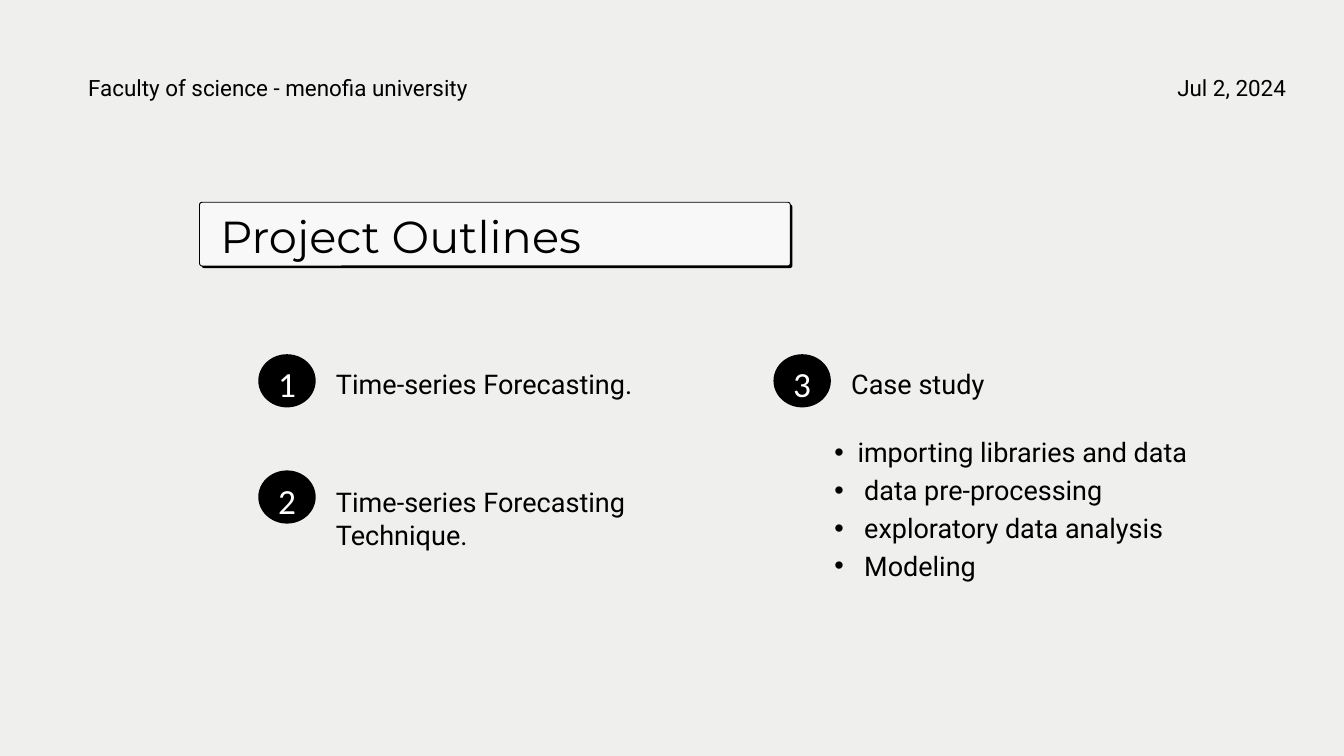
from dataclasses import dataclass

from lxml.etree import SubElement
from pptx import Presentation
from pptx.dml.color import RGBColor as RGB
from pptx.enum.shapes import MSO_SHAPE as Shape
from pptx.enum.text import PP_ALIGN as Align
from pptx.oxml.ns import qn
from pptx.slide import Slide
from pptx.util import Pt

PX = 9525


@dataclass(frozen=True)
class Style:
    font: str
    size: float
    leading: float
    color: str = "000000"
    align: Align = Align.LEFT


@dataclass(frozen=True)
class Theme:
    background: str = "EFEFEE"
    panel: str = "F8F8F8"
    ink: str = "000000"
    title: Style = Style("Montserrat", 48, 56.6)
    number: Style = Style("Calibri", 37.8, 52.9, "FFFFFF", Align.CENTER)
    label: Style = Style("Roboto", 29, 34.8)
    bullet: Style = Style("Roboto", 28.9, 40.5)
    header: Style = Style("Roboto", 24, 33.6)
    date: Style = Style("Roboto", 24, 33.6, align=Align.RIGHT)


@dataclass(frozen=True)
class Box:
    x: int
    y: int
    w: int
    h: int

    def emu(self) -> list[int]:
        return [v * PX for v in (self.x, self.y, self.w, self.h)]


@dataclass(frozen=True)
class Topic:
    number: str
    label: str
    x: int
    y: int
    label_dy: int
    label_h: int


THEME = Theme()
LEFT_COL, RIGHT_COL = 369, 1105
ROW_1, ROW_2 = 506, 672
TOPICS = [
    Topic("1", "Time-series Forecasting.", LEFT_COL, ROW_1, 19, 156),
    Topic("2", "Time-series Forecasting Technique.", LEFT_COL, ROW_2, 22, 140),
    Topic("3", "Case study", RIGHT_COL, ROW_1, 19, 94),
]
CASE_STEPS = [
    "importing libraries and data",
    " data pre-processing",
    " exploratory data analysis",
    " Modeling",
]


def add_text(s: Slide, box: Box, lines: list[str], style: Style, bullets: bool = False) -> None:
    tf = s.shapes.add_textbox(*box.emu()).text_frame
    frame = {"word_wrap": True, "margin_left": 0, "margin_top": 0, "margin_right": 0, "margin_bottom": 0}
    for name, value in frame.items():
        setattr(tf, name, value)
    for i, line in enumerate(lines):
        p = tf.add_paragraph() if i else tf.paragraphs[0]
        for name, value in {"alignment": style.align, "line_spacing": Pt(style.leading)}.items():
            setattr(p, name, value)
        r = p.add_run()
        r.text = line
        for name, value in {"name": style.font, "size": Pt(style.size)}.items():
            setattr(r.font, name, value)
        r.font.color.rgb = RGB.from_string(style.color)
        if bullets:
            p.level = 1
            ppr = p._p.get_or_add_pPr()
            ppr.set("marL", str(65 * PX))
            ppr.set("indent", str(-33 * PX))
            SubElement(ppr, qn("a:buFont"), typeface="Arial")
            SubElement(ppr, qn("a:buChar"), char="•")


def add_block(s: Slide, kind: Shape, box: Box, fill: str, outlined: bool = False) -> None:
    sp = s.shapes.add_shape(kind, *box.emu())
    sp.shadow.inherit = False
    sp.fill.solid()
    sp.fill.fore_color.rgb = RGB.from_string(fill)
    if kind == Shape.ROUNDED_RECTANGLE:
        sp.adjustments[0] = 0.04
    if outlined:
        sp.line.color.rgb = RGB.from_string(THEME.ink)
        sp.line.width = Pt(1)
    else:
        sp.line.fill.background()


def add_topic(s: Slide, topic: Topic) -> None:
    add_block(s, Shape.OVAL, Box(topic.x, topic.y, 82, 76), THEME.ink)
    add_text(s, Box(topic.x + 15, topic.y + 2, 52, 66), [topic.number], THEME.number)
    add_text(s, Box(topic.x + 111, topic.y + topic.label_dy, 479, topic.label_h), [topic.label], THEME.label)


def main() -> None:
    prs = Presentation()
    for name, value in {"slide_width": 1920 * PX, "slide_height": 1080 * PX}.items():
        setattr(prs, name, value)
    s = prs.slides.add_slide(prs.slide_layouts[6])
    s.background.fill.solid()
    s.background.fill.fore_color.rgb = RGB.from_string(THEME.background)

    add_block(s, Shape.ROUNDED_RECTANGLE, Box(288, 292, 844, 91), THEME.ink)
    add_block(s, Shape.ROUNDED_RECTANGLE, Box(285, 289, 844, 91), THEME.panel, outlined=True)
    add_text(s, Box(315, 300, 725, 74), ["Project Outlines"], THEME.title)

    for topic in TOPICS:
        add_topic(s, topic)
    add_text(s, Box(1160, 615, 618, 214), CASE_STEPS, THEME.bullet, bullets=True)

    add_text(s, Box(126, 100, 652, 42), ["Faculty of science - menofia university"], THEME.header)
    add_text(s, Box(1185, 100, 652, 42), ["Jul 2, 2024"], THEME.date)
    prs.save("out.pptx")


if __name__ == "__main__":
    main()
